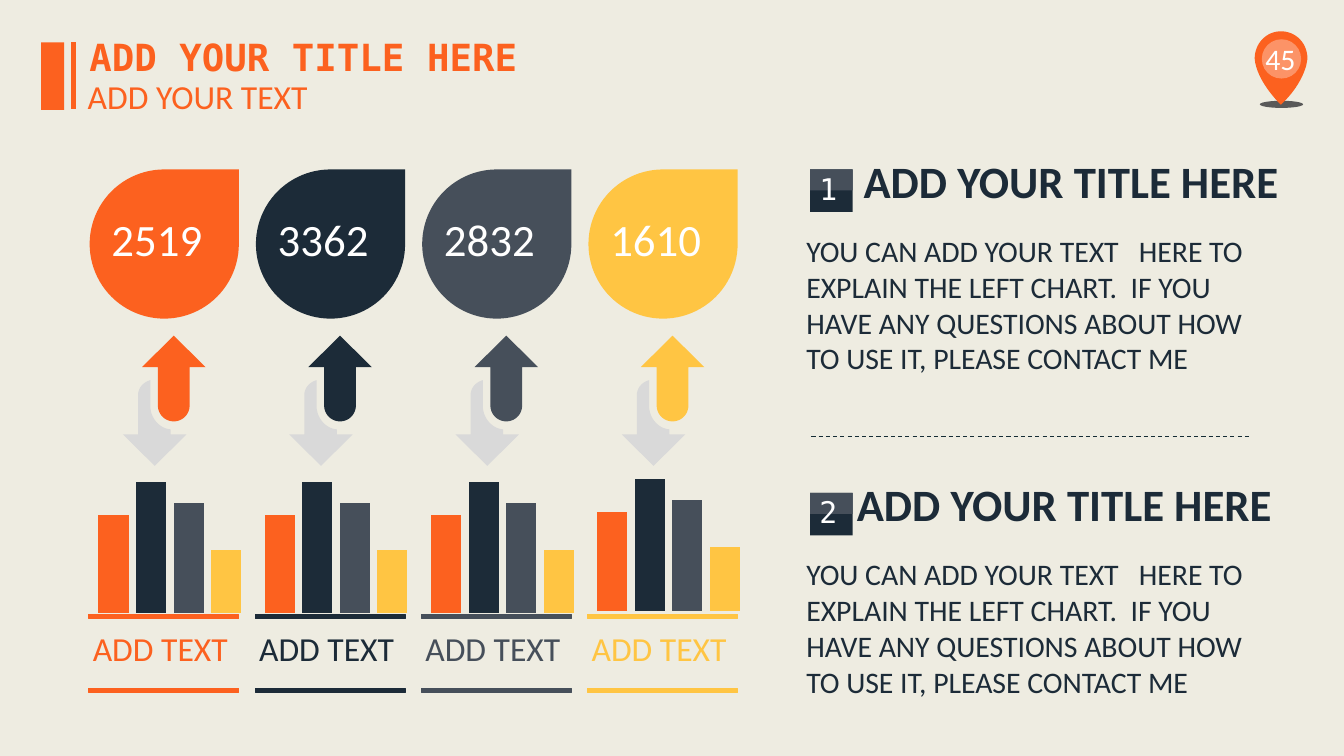
from lxml import etree
from pptx import Presentation
from pptx.chart.data import CategoryChartData
from pptx.dml.color import RGBColor
from pptx.enum.chart import XL_CHART_TYPE
from pptx.enum.dml import MSO_LINE
from pptx.enum.shapes import MSO_CONNECTOR, MSO_SHAPE
from pptx.enum.text import MSO_ANCHOR, PP_ALIGN
from pptx.oxml.ns import qn
from pptx.util import Cm, Pt

RECTANGLE, ELLIPSE, TEAR = MSO_SHAPE.RECTANGLE, MSO_SHAPE.OVAL, MSO_SHAPE.TEAR
STRAIGHT = MSO_CONNECTOR.STRAIGHT
DASH = MSO_LINE.DASH
COLUMN_CLUSTERED = XL_CHART_TYPE.COLUMN_CLUSTERED
LEFT, CENTER = PP_ALIGN.LEFT, PP_ALIGN.CENTER
TOP, MIDDLE = MSO_ANCHOR.TOP, MSO_ANCHOR.MIDDLE

COLORS = {
    "background": "EEECE1", "orange": "FC611F", "navy": "1C2B38",
    "slate": "464F5A", "yellow": "FFC543", "silver": "D9D9D9",
    "shadow": "595959", "divider": "152C34", "white": "FFFFFF",
}
SANS, MONO = "Calibri", "DejaVu Sans Mono"

PIN = [(1.33, 0.69), (1.33, 0.3, 1.04, 0, 0.66, 0), (0.3, 0, 0, 0.3, 0, 0.69),
       (0.05, 1.27, 0.66, 1.85, 0.66, 1.85), (1.09, 1.45, 1.24, 1.07, 1.3, 0.86)]
UP_ARROW = [(0.4, 0.79), (0, 0.79), (0.8, 0), (1.6, 0.79), (1.2, 0.79), (1.2, 1.76),
            (1.2, 1.98, 1.02, 2.16, 0.8, 2.16), (0.58, 2.16, 0.4, 1.98, 0.4, 1.76)]
DOWN_ARROW = [(0.69, 0.66), (0.69, 0), (0.51, 0.05, 0.38, 0.2, 0.38, 0.38), (0.38, 1.37),
              (0, 1.37), (0.8, 2.16), (1.6, 1.37), (1.2, 1.37), (1.2, 1.24),
              (0.91, 1.22, 0.69, 0.94, 0.69, 0.66)]

COLUMNS = [("2519", "orange", 11.4), ("3362", "navy", 11.4),
           ("2832", "slate", 11.4), ("1610", "yellow", 11.33)]
COLUMN_LEFT, COLUMN_PITCH = 2.24, 4.19
BAR_VALUES = (75, 100, 84, 48)

SECTIONS = [("1", 21.46), ("2", 21.29)]
SECTION_TOP, SECTION_PITCH = 4.27, 8.15
SECTION_LINES = ["YOU CAN ADD YOUR TEXT   HERE TO", "EXPLAIN THE LEFT CHART.  IF YOU",
                 "HAVE ANY QUESTIONS ABOUT HOW", "TO USE IT, PLEASE CONTACT ME"]


def color(name):
    return RGBColor.from_string(COLORS[name])


def flatten(outline, steps=16):
    points = []
    for segment in outline:
        if len(segment) == 2:
            points.append(segment)
            continue
        x0, y0 = points[-1]
        x1, y1, x2, y2, x3, y3 = segment
        for step in range(1, steps + 1):
            t = step / steps
            a, b, c, d = (1 - t) ** 3, 3 * t * (1 - t) ** 2, 3 * t * t * (1 - t), t ** 3
            points.append((a * x0 + b * x1 + c * x2 + d * x3,
                           a * y0 + b * y1 + c * y2 + d * y3))
    return points


class SlideBuilder:
    def __init__(self, slide):
        self.slide = slide
        self.shapes = slide.shapes
        slide.background.fill.solid()
        slide.background.fill.fore_color.rgb = color("background")

    def paint(self, shape, fill, line=None):
        shape.shadow.inherit = False
        shape.fill.solid()
        shape.fill.fore_color.rgb = color(fill)
        if line:
            shape.line.color.rgb = color(line)
            shape.line.width = Pt(0.75)
        else:
            shape.line.fill.background()
        return shape

    def shape(self, kind, left, top, width, height, fill, line=None, alpha=None):
        shape = self.shapes.add_shape(kind, Cm(left), Cm(top), Cm(width), Cm(height))
        self.paint(shape, fill, line)
        if alpha is not None:
            tint = shape.fill._xPr.find(qn("a:solidFill"))[0]
            etree.SubElement(tint, qn("a:alpha")).set("val", str(alpha * 1000))

    def outline(self, outline, left, top, fill):
        points = [(Cm(left + x), Cm(top + y)) for x, y in flatten(outline)]
        builder = self.shapes.build_freeform(*points[0])
        builder.add_line_segments(points[1:], close=True)
        self.paint(builder.convert_to_shape(), fill)

    def text(self, lines, left, top, width, height, size, fill, font=SANS,
             bold=False, align=LEFT, anchor=TOP, wrap=False):
        box = self.shapes.add_textbox(Cm(left), Cm(top), Cm(width), Cm(height))
        frame = box.text_frame
        frame.word_wrap = wrap
        frame.vertical_anchor = anchor
        frame.text = "\n".join(lines)
        for paragraph in frame.paragraphs:
            paragraph.alignment = align
            paragraph.font.name = font
            paragraph.font.size = Pt(size)
            paragraph.font.bold = bold
            paragraph.font.color.rgb = color(fill)

    def line(self, x1, y1, x2, y2, stroke, width, dash=None):
        connector = self.shapes.add_connector(STRAIGHT, Cm(x1), Cm(y1), Cm(x2), Cm(y2))
        connector.line.color.rgb = color(stroke)
        connector.line.width = Pt(width)
        if dash:
            connector.line.dash_style = dash
        etree.SubElement(connector._element.spPr, qn("a:effectLst"))

    def chart(self, left, top, width, height):
        data = CategoryChartData()
        data.categories = ["1", "2", "3", "4"]
        data.add_series("Series 1", BAR_VALUES)
        chart = self.shapes.add_chart(COLUMN_CLUSTERED, Cm(left), Cm(top),
                                      Cm(width), Cm(height), data).chart
        chart.has_title = False
        chart.has_legend = False
        chart.font.name = SANS
        chart.font.size = Pt(18)
        chart.font.color.rgb = RGBColor(0, 0, 0)
        chart.category_axis.visible = False
        value_axis = chart.value_axis
        value_axis.visible = False
        value_axis.has_major_gridlines = False
        value_axis.minimum_scale, value_axis.maximum_scale = 0, 120
        plot = chart.plots[0]
        plot.gap_width = 25
        plot.vary_by_categories = False
        for index, (_, fill, _) in enumerate(COLUMNS):
            bar = plot.series[0].points[index].format.fill
            bar.solid()
            bar.fore_color.rgb = color(fill)

    def header(self):
        self.shape(RECTANGLE, 1.04, 1.07, 0.58, 1.7, "orange")
        self.line(1.85, 1.07, 1.85, 2.75, "orange", 3)
        self.text(["ADD YOUR TITLE HERE"], 1.4, 0.74, 12.5, 1.4, 26.7, "orange",
                  MONO, bold=True, align=CENTER)
        self.text(["ADD YOUR TEXT"], 1.96, 1.78, 6.12, 1.27, 24, "orange")

    def page_pin(self):
        self.shape(ELLIPSE, 31.75, 2.54, 1.09, 0.18, "shadow")
        self.outline(PIN, 31.62, 0.79, "orange")
        self.shape(ELLIPSE, 31.8, 0.99, 0.99, 0.99, "white", alpha=32)
        self.text(["45"], 28.32, 0.97, 7.9, 1.02, 21.3, "white",
                  align=CENTER, anchor=MIDDLE, wrap=True)

    def column(self, left, number, fill, chart_top):
        self.shape(TEAR, left + 0.02, 4.27, 3.76, 3.76, fill)
        self.text([number], left + 0.32, 5.21, 2.82, 1.63, 32, "white")
        self.outline(UP_ARROW, left + 1.34, 8.46, fill)
        self.outline(DOWN_ARROW, left + 0.86, 9.58, "silver")
        for rule_top in (15.49, 17.35):
            self.shape(RECTANGLE, left, rule_top, 3.78, 0.1, fill, line=fill)
        self.text(["ADD TEXT"], left - 0.15, 15.7, 3.96, 1.27, 24, fill)
        self.chart(left + 0.07, chart_top, 3.94, 4.14)

    def section(self, top, number, title_left):
        self.shape(RECTANGLE, 20.42, top, 1.07, 1.07, "navy")
        self.shape(RECTANGLE, 20.42, top, 1.07, 0.53, "slate")
        self.text([number], 20.4, top - 0.1, 0.94, 1.17, 21.3, "white", MONO)
        self.text(["ADD YOUR TITLE HERE"], title_left, top - 0.53, 11.07, 1.63, 32, "navy",
                  bold=True, align=CENTER)
        self.text(SECTION_LINES, 20.07, top + 1.47, 11.81, 3.91, 21.3, "navy", wrap=True)


def main():
    presentation = Presentation()
    presentation.slide_width, presentation.slide_height = Cm(33.87), Cm(19.05)
    builder = SlideBuilder(presentation.slides.add_slide(presentation.slide_layouts[6]))
    builder.header()
    builder.page_pin()
    for index, column in enumerate(COLUMNS):
        builder.column(COLUMN_LEFT + index * COLUMN_PITCH, *column)
    for index, section in enumerate(SECTIONS):
        builder.section(SECTION_TOP + index * SECTION_PITCH, *section)
    builder.line(20.45, 11, 31.5, 11, "divider", 0.75, DASH)
    presentation.save("out.pptx")


if __name__ == "__main__":
    main()
